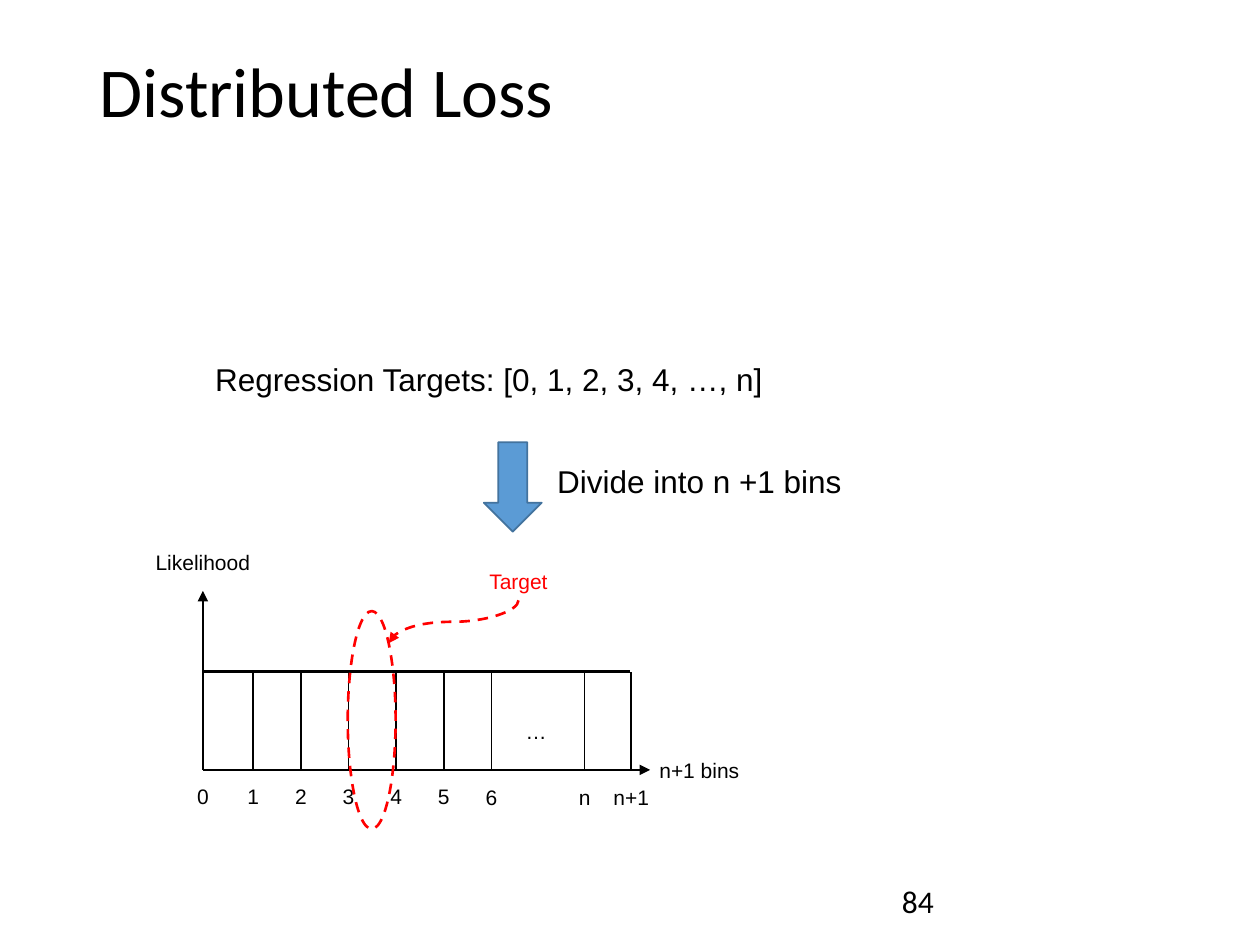
import pptx
import pptx.dml.color
import pptx.enum.dml
import pptx.enum.shapes
import pptx.enum.text
import pptx.oxml.ns
import pptx.util
from dataclasses import dataclass
from lxml import etree

Inches, Pt = pptx.util.Inches, pptx.util.Pt
Align = pptx.enum.text.PP_ALIGN
Anchor = pptx.enum.text.MSO_ANCHOR
Shape = pptx.enum.shapes.MSO_SHAPE
Link = pptx.enum.shapes.MSO_CONNECTOR
Dash = pptx.enum.dml.MSO_LINE

BLACK, RED = "000000", "FF0000"
LEFT, BASE, TOP = 1.61, 6.11, 5.33  # chart origin and top of the bins
STEP = 0.378


@dataclass
class Label:
    text: str
    x: float
    y: float
    w: float
    h: float = 0.3
    size: int = 12
    color: str = BLACK
    align: Align = Align.CENTER
    font: str = "Arial"
    gap: float = 1.0


@dataclass
class Tick:
    text: str
    x: float
    y: float = 6.17
    w: float = 0.47


def rgb(color: str) -> pptx.dml.color.RGBColor:
    return pptx.dml.color.RGBColor.from_string(color)


def style(para, font: str, size: int, color: str) -> None:
    para.font.name = font
    para.font.size = Pt(size)
    para.font.color.rgb = rgb(color)


def pen(line, color: str, width: float, dash: bool = False) -> None:
    line.color.rgb = rgb(color)
    line.width = Pt(width)
    if dash:
        line.dash_style = Dash.DASH


def write(shapes, label: Label):
    box = shapes.add_textbox(Inches(label.x), Inches(label.y),
                             Inches(label.w), Inches(label.h))
    frame = box.text_frame
    frame.word_wrap = True
    frame.vertical_anchor = Anchor.MIDDLE
    para = frame.paragraphs[0]
    para.text = label.text
    para.alignment = label.align
    para.line_spacing = label.gap
    style(para, label.font, label.size, label.color)
    return box


def draw(shapes, x1: float, y1: float, x2: float, y2: float, width: float = 1.5,
         color: str = BLACK, arrow: bool = False, dash: bool = False,
         kind: Link = Link.STRAIGHT):
    link = shapes.add_connector(kind, Inches(x1), Inches(y1), Inches(x2), Inches(y2))
    pen(link.line, color, width, dash)
    if arrow:
        etree.SubElement(link.line._get_or_add_ln(),
                         pptx.oxml.ns.qn("a:tailEnd"), type="triangle")
    etree.SubElement(link._element.spPr, pptx.oxml.ns.qn("a:effectLst"))
    return link


def block(shapes, kind: Shape, x: float, y: float, w: float, h: float):
    shape = shapes.add_shape(kind, Inches(x), Inches(y), Inches(w), Inches(h))
    shape.shadow.inherit = False
    return shape


def main() -> None:
    deck = pptx.Presentation()
    deck.slide_width, deck.slide_height = Inches(10), Inches(7.5)
    slide = deck.slides.add_slide(deck.slide_layouts[5])
    shapes = slide.shapes

    # Title
    title = shapes.title
    title.left, title.top = Inches(0.69), Inches(0.4)
    title.width, title.height = Inches(8.62), Inches(1.45)
    title.text_frame.text = "Distributed Loss"
    title.text_frame.vertical_anchor = Anchor.TOP
    head = title.text_frame.paragraphs[0]
    head.alignment = Align.LEFT
    head.line_spacing = 0.9
    style(head, "Calibri", 40, BLACK)

    # Axes
    draw(shapes, LEFT, BASE, LEFT, 4.69, arrow=True)
    draw(shapes, LEFT, BASE, 5.16, BASE, arrow=True)
    write(shapes, Label("Likelihood", 0.69, 4.31, 1.84))
    write(shapes, Label("n+1 bins", 4.84, 5.96, 1.42))

    # Bins and their numbers
    ticks = [Tick("0", LEFT)]
    ticks += [Tick(str(i + 1), 2.01 + i * STEP) for i in range(5)]
    ticks += [Tick("6", 3.9, 6.18), Tick("n", 4.64, 6.18),
              Tick("n+1", 5.01, 6.18, 0.61)]
    for tick in ticks:
        if tick.x > LEFT:
            draw(shapes, tick.x, BASE, tick.x, TOP, width=1)
        write(shapes, Label(tick.text, tick.x - tick.w / 2, tick.y, tick.w))
    write(shapes, Label("…", 3.83, 5.65, 0.85))
    draw(shapes, LEFT, TOP, 5, TOP)

    # Target bin
    target = write(shapes, Label("Target", 3.29, 4.46, 1.65, color=RED))
    ring = block(shapes, Shape.OVAL, 2.76, 4.85, 0.38, 1.73)
    ring.fill.background()
    pen(ring.line, RED, 1.5, dash=True)
    curve = draw(shapes, 3.43, 4.42, 3.77, 5.45, color=RED, arrow=True,
                 dash=True, kind=Link.CURVE)
    # Joining moves the start, so the turned frame is set afterwards
    curve.begin_connect(target, 2)
    curve.left, curve.top = Inches(3.43), Inches(4.42)
    curve.width, curve.height = Inches(0.34), Inches(1.03)
    frame = curve._element.spPr.find(pptx.oxml.ns.qn("a:xfrm"))
    for flip in ("flipH", "flipV"):
        frame.attrib.pop(flip, None)
    frame.set("rot", str(90 * 60000))

    # Regression targets divided into bins
    write(shapes, Label("Regression Targets: [0, 1, 2, 3, 4, …, n]", 1.61, 2.68,
                        4.9, 0.5, 18, align=Align.LEFT, gap=1.5))
    arrow = block(shapes, Shape.DOWN_ARROW, 3.84, 3.51, 0.46, 0.71)
    arrow.fill.solid()
    arrow.fill.fore_color.rgb = rgb("5B9BD5")
    pen(arrow.line, "43739E", 1)
    write(shapes, Label("Divide into n +1 bins", 3.99, 3.62, 3.12, 0.4, 18))

    # Page number
    write(shapes, Label("84", 7.06, 6.95, 2.25, 0.4, 18, align=Align.LEFT,
                        font="Calibri"))

    deck.save("out.pptx")


if __name__ == "__main__":
    main()
